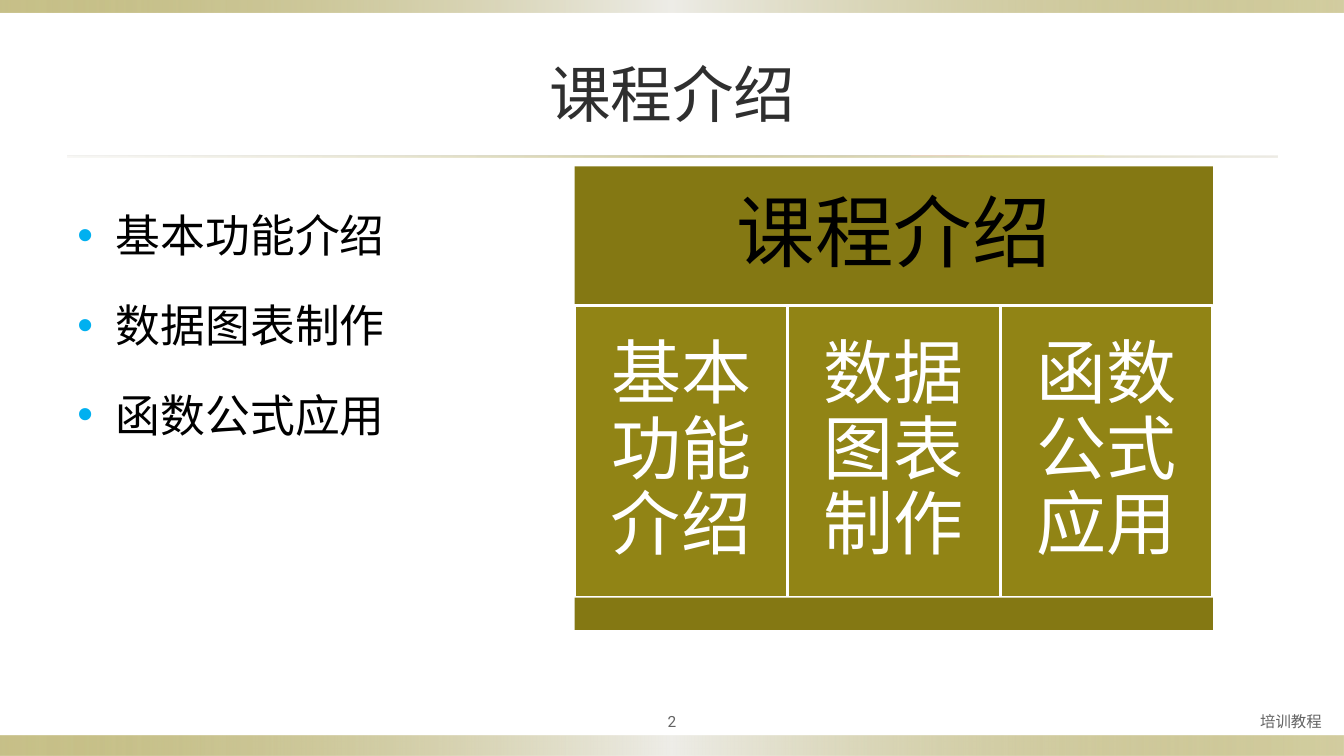
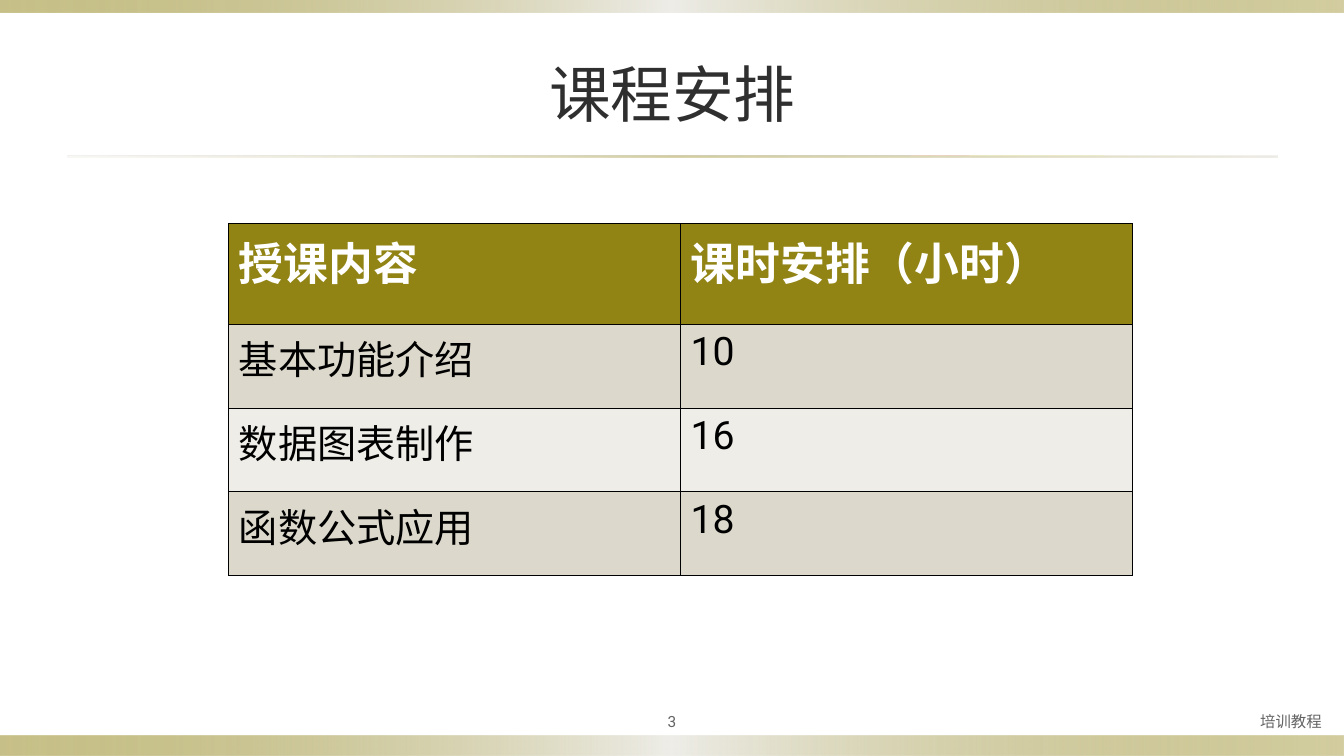
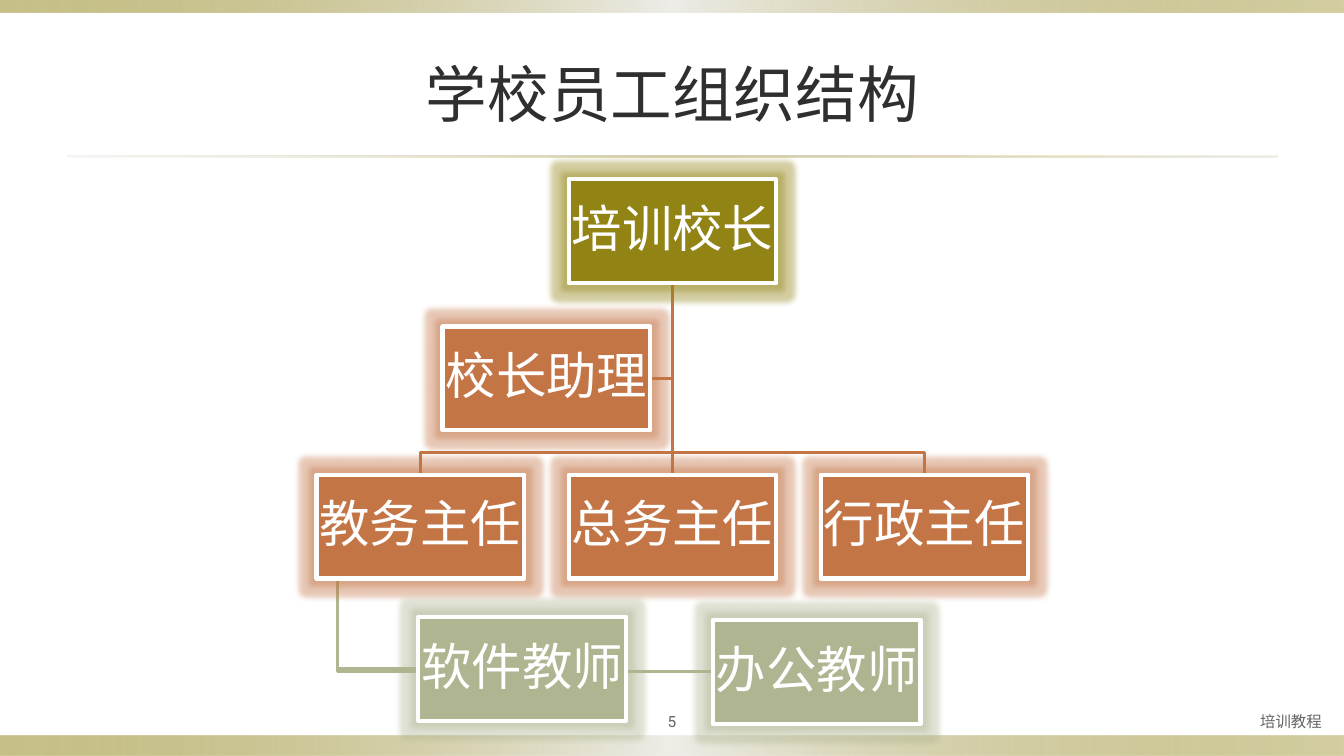
from lxml.etree import SubElement
from pptx import Presentation
from pptx.dml.color import RGBColor
from pptx.enum.shapes import MSO_CONNECTOR, MSO_SHAPE
from pptx.enum.text import MSO_ANCHOR, PP_ALIGN
from pptx.oxml import parse_xml
from pptx.oxml.ns import nsdecls, qn
from pptx.util import Inches, Pt

FONT = "Roboto"
OLIVE, DARK_OLIVE = "918415", "847813"
RUST, SAGE = "C47546", "AFB591"
SAND, PALE = "DCD9CC", "EEEDE8"
WHITE, BLACK = "FFFFFF", "000000"
TITLE_COLOR, FOOTER_COLOR, BULLET_COLOR = "2F2F2F", "636363", "00B0F0"
FOOTER = "培训教程"
COURSES = ["基本功能介绍", "数据图表制作", "函数公式应用"]
HOURS = ["10", "16", "18"]
BAND_STOPS = [(0, OLIVE, 50), (50, PALE, 100), (100, OLIVE, 40)]
RULE_STOPS = [(0, SAND, 20), (50, OLIVE, 40), (100, SAND, 50)]
BOX_WIDTH, BOX_HEIGHT = 2.06, 1.03


def rgb(color):
    """Turn a hex string into a colour."""
    return RGBColor.from_string(color)


def add_span(para, text, size, color, bold=False):
    """Add one formatted run to a paragraph."""
    span = para.add_run()
    span.text = text
    span.font.name = FONT
    span.font.size = Pt(size)
    span.font.bold = bold
    span.font.color.rgb = rgb(color)


def set_margins(frame, margin):
    """Give a text frame the same margin on all sides."""
    frame.margin_left = frame.margin_right = Inches(margin)
    frame.margin_top = frame.margin_bottom = Inches(margin)


def add_text(page, area, text, size, color, align, margin=None):
    """Add a vertically centred text box with one line."""
    frame = page.shapes.add_textbox(*map(Inches, area)).text_frame
    frame.word_wrap = True
    frame.vertical_anchor = MSO_ANCHOR.MIDDLE
    if margin is not None:
        set_margins(frame, margin)
    para = frame.paragraphs[0]
    para.alignment = align
    add_span(para, text, size, color)


def add_rect(page, area, fill=None, line=None, width=0):
    """Add a flat rectangle, with an outline if a line colour is given."""
    box = page.shapes.add_shape(MSO_SHAPE.RECTANGLE, *map(Inches, area))
    box.shadow.inherit = False
    if fill:
        box.fill.solid()
        box.fill.fore_color.rgb = rgb(fill)
    if line:
        box.line.color.rgb = rgb(line)
        box.line.width = Pt(width)
    else:
        box.line.fill.background()
    return box


def add_translucent_color(parent, color, opacity):
    """Append a colour with an opacity in percent."""
    element = SubElement(parent, qn("a:srgbClr"), val=color)
    SubElement(element, qn("a:alpha"), val=str(opacity * 1000))


def add_gradient_bar(page, area, stops):
    """Add a bar filled with a horizontal gradient."""
    bar = add_rect(page, area)
    bar.fill.gradient()
    bar.fill.gradient_angle = 0
    stop_list = bar.element.spPr.find(".//" + qn("a:gsLst"))
    for old_stop in list(stop_list):
        stop_list.remove(old_stop)
    for position, color, opacity in stops:
        stop = SubElement(stop_list, qn("a:gs"), pos=str(position * 1000))
        add_translucent_color(stop, color, opacity)


def label_box(box, text, size, color, margin):
    """Write a centred label into a box."""
    frame = box.text_frame
    frame.word_wrap = True
    frame.vertical_anchor = MSO_ANCHOR.MIDDLE
    set_margins(frame, margin)
    para = frame.paragraphs[0]
    para.alignment = PP_ALIGN.CENTER
    para.line_spacing = 0.9
    add_span(para, text, size, color)


def add_page(deck, title, number):
    """Add a slide with bands, title, footer and page number."""
    page = deck.slides.add_slide(deck.slide_layouts[5])
    add_gradient_bar(page, (0, 7.3, 13.33, 0.2), BAND_STOPS)
    add_gradient_bar(page, (0, 0, 13.33, 0.12), BAND_STOPS)
    add_gradient_bar(page, (0.67, 1.54, 12, 0.02), RULE_STOPS)
    heading = page.shapes.title
    heading.left, heading.top = Inches(0.67), Inches(0.3)
    heading.width, heading.height = Inches(12), Inches(1.25)
    heading.text_frame.vertical_anchor = MSO_ANCHOR.MIDDLE
    para = heading.text_frame.paragraphs[0]
    para.alignment = PP_ALIGN.CENTER
    add_span(para, title, 44, TITLE_COLOR)
    add_text(page, (7.77, 7, 5.44, 0.31), FOOTER, 11, FOOTER_COLOR, PP_ALIGN.RIGHT)
    add_text(page, (6, 7, 1.33, 0.31), number, 11, FOOTER_COLOR, PP_ALIGN.CENTER, 0.05)
    return page


def add_bullets(page, area, items):
    """Add a text box with a bulleted list."""
    frame = page.shapes.add_textbox(*map(Inches, area)).text_frame
    frame.word_wrap = True
    for index, item in enumerate(items):
        para = frame.add_paragraph() if index else frame.paragraphs[0]
        para.line_spacing = 1.5
        para.space_before = Pt(6.4 if index else 0)
        properties = para._p.get_or_add_pPr()
        properties.set("marL", str(Inches(0.38)))
        properties.set("indent", str(-Inches(0.38)))
        color = SubElement(properties, qn("a:buClr"))
        SubElement(color, qn("a:srgbClr"), val=BULLET_COLOR)
        SubElement(properties, qn("a:buFont"), typeface="Arial")
        SubElement(properties, qn("a:buChar"), char="•")
        add_span(para, item, 32, BLACK)


def add_course_diagram(page):
    """Add the course heading with a column for each part."""
    left, width = 5.7, 6.33
    column = width / len(COURSES)
    header = add_rect(page, (left, 1.65, width, 1.38), DARK_OLIVE)
    label_box(header, "课程介绍", 56, BLACK, 0.23)
    for index, course in enumerate(COURSES):
        area = (left + index * column, 3.03, column, 2.9)
        label_box(add_rect(page, area, OLIVE, WHITE, 2), course, 50, WHITE, 0.21)
    add_rect(page, (left, 5.93, width, 0.32), DARK_OLIVE)


def set_cell_borders(cell, color, width):
    """Draw a line on all four sides of a cell."""
    properties = cell._tc.get_or_add_tcPr()
    for index, side in enumerate(("lnL", "lnR", "lnT", "lnB")):
        properties.insert(index, parse_xml(
            f'<a:{side} {nsdecls("a")} w="{Pt(width)}"><a:solidFill>'
            f'<a:srgbClr val="{color}"/></a:solidFill></a:{side}>'))


def add_schedule(page):
    """Add the table of courses and hours."""
    rows = [("授课内容", "课时安排（小时）"), *zip(COURSES, HOURS)]
    area = map(Inches, (2.27, 2.22, 8.96, 3.49))
    table = page.shapes.add_table(len(rows), 2, *area).table
    table.horz_banding = False
    for row_index, texts in enumerate(rows):
        is_header = row_index == 0
        table.rows[row_index].height = Inches(1 if is_header else 0.83)
        fill = OLIVE if is_header else (PALE, SAND)[row_index % 2]
        for column_index, text in enumerate(texts):
            cell = table.cell(row_index, column_index)
            cell.fill.solid()
            cell.fill.fore_color.rgb = rgb(fill)
            set_cell_borders(cell, BLACK, 1)
            add_span(cell.text_frame.paragraphs[0], text, 32 if is_header else 28,
                     WHITE if is_header else BLACK, is_header)


def add_bent_line(page, points, color):
    """Add an open line through the given points."""
    corners = [(Inches(x), Inches(y)) for x, y in points]
    builder = page.shapes.build_freeform(*corners[0], scale=1.0)
    builder.add_line_segments(corners[1:], close=False)
    line = builder.convert_to_shape()
    line.shadow.inherit = False
    line.fill.background()
    line.line.color.rgb = rgb(color)
    line.line.width = Pt(2)


def add_straight_line(page, color):
    """Add a connector whose ends are joined to boxes later."""
    line = page.shapes.add_connector(MSO_CONNECTOR.STRAIGHT, 0, 0, 0, 0)
    line.line.color.rgb = rgb(color)
    line.line.width = Pt(2)
    SubElement(line.element.spPr, qn("a:effectLst"))
    return line


def add_staff_box(page, left, top, text, color):
    """Add a glowing box for one position."""
    box = add_rect(page, (left, top, BOX_WIDTH, BOX_HEIGHT), color, WHITE, 3)
    effects = box.element.spPr.find(qn("a:effectLst"))
    glow = SubElement(effects, qn("a:glow"), rad=str(Pt(8)))
    add_translucent_color(glow, color, 40)
    label_box(box, text, 36, WHITE, 0.03)
    return box


def add_organisation(page):
    """Add the staff chart with its connecting lines."""
    head_left, head_top, chief_top, step = 5.64, 1.78, 4.71, 2.5
    assistant_left, assistant_top = 4.39, 3.24
    middle = head_left + BOX_WIDTH / 2
    head_bottom = head_top + BOX_HEIGHT
    chief_bottom = chief_top + BOX_HEIGHT
    assistant_middle = assistant_top + BOX_HEIGHT / 2
    teachers = [("软件教师", 4.15, 6.12), ("办公教师", 7.07, 6.15)]

    add_bent_line(page, [(middle, head_bottom), (middle, assistant_middle),
                         (assistant_left + BOX_WIDTH, assistant_middle)], RUST)
    for side in (-1, 1):
        end = middle + side * step
        add_bent_line(page, [(middle, head_bottom), (middle, 4.49),
                             (end, 4.49), (end, chief_top)], RUST)
    for _, left, top in teachers:
        teacher_middle = top + BOX_HEIGHT / 2
        add_bent_line(page, [(3.35, chief_bottom), (3.35, teacher_middle),
                             (left, teacher_middle)], SAGE)
    trunk = add_straight_line(page, RUST)

    head = add_staff_box(page, head_left, head_top, "培训校长", OLIVE)
    chiefs = [add_staff_box(page, head_left + (index - 1) * step, chief_top, text, RUST)
              for index, text in enumerate(["教务主任", "总务主任", "行政主任"])]
    for text, left, top in teachers:
        add_staff_box(page, left, top, text, SAGE)
    add_staff_box(page, assistant_left, assistant_top, "校长助理", RUST)
    trunk.begin_connect(head, 2)
    trunk.end_connect(chiefs[1], 0)


def main():
    """Build and save the deck."""
    deck = Presentation()
    deck.slide_width, deck.slide_height = Inches(13.33), Inches(7.5)
    page = add_page(deck, "课程介绍", "2")
    add_bullets(page, (0.67, 1.75, 12, 5.13), COURSES)
    add_course_diagram(page)
    add_schedule(add_page(deck, "课程安排", "3"))
    add_organisation(add_page(deck, "学校员工组织结构", "5"))
    deck.save("out.pptx")


if __name__ == "__main__":
    main()
